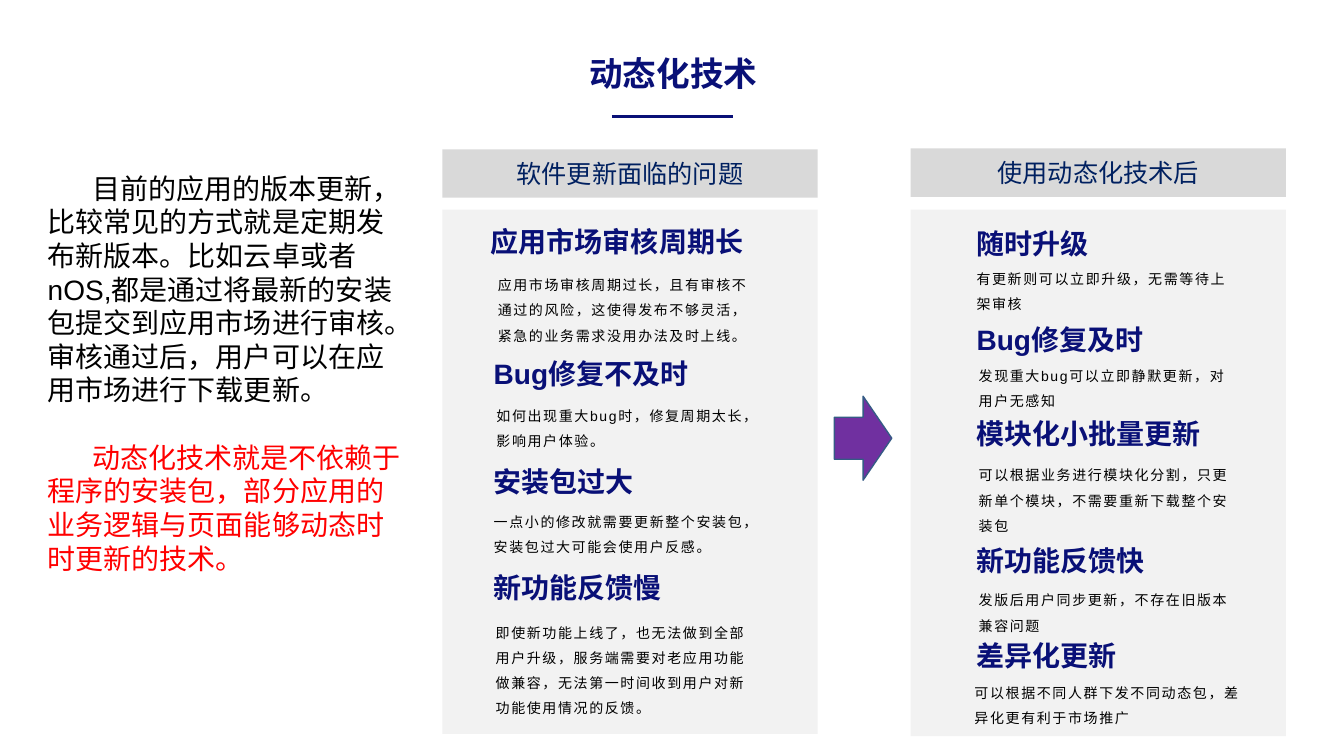
"""Build the slide on dynamic update technology: the problems before and the gains after."""
from lxml.etree import SubElement
from pptx import Presentation
from pptx.dml.color import RGBColor
from pptx.enum.shapes import MSO_CONNECTOR, MSO_SHAPE
from pptx.enum.text import MSO_ANCHOR, PP_ALIGN
from pptx.oxml.ns import qn
from pptx.util import Pt

NAVY = RGBColor(0x09, 0x10, 0x77)
HEADER_BLUE = RGBColor(0x00, 0x20, 0x60)
BLACK = RGBColor(0x00, 0x00, 0x00)
RED = RGBColor(0xFF, 0x00, 0x00)
HEADER_GREY = RGBColor(0xD9, 0xD9, 0xD9)
PANEL_GREY = RGBColor(0xF2, 0xF2, 0xF2)
PURPLE = RGBColor(0x70, 0x30, 0xA0)
ARROW_EDGE = RGBColor(0x35, 0x5B, 0x85)

TITLE = "动态化技术"
INTRO = [
    ("目前的应用的版本更新，比较常见的方式就是定期发布新版本。比如云卓或者nOS,都是通过将最新的安装包提交到应用市场进行审核。审核通过后，用户可以在应用市场进行下载更新。", BLACK),
    ("动态化技术就是不依赖于程序的安装包，部分应用的业务逻辑与页面能够动态时时更新的技术。", RED),
]
PANELS = [
    {"header": "软件更新面临的问题", "left": 316, "header_top": 106.6, "height": 374.4, "items": [
        ("应用市场审核周期长", (343.5, 157),
         "应用市场审核周期过长，且有审核不通过的风险，这使得发布不够灵活，紧急的业务需求没用办法及时上线。", (348.5, 188, 203)),
        ("Bug修复不及时", (345.6, 251.3),
         "如何出现重大bug时，修复周期太长，影响用户体验。", (347.5, 281.5, 203)),
        ("安装包过大", (345.6, 328.3),
         "一点小的修改就需要更新整个安装包，安装包过大可能会使用户反感。", (345.6, 357, 202)),
        ("新功能反馈慢", (345.6, 404),
         "即使新功能上线了，也无法做到全部用户升级，服务端需要对老应用功能做兼容，无法第一时间收到用户对新功能使用情况的反馈。", (347, 436.3, 202)),
    ]},
    {"header": "使用动态化技术后", "left": 650.5, "header_top": 106, "height": 376, "items": [
        ("随时升级", (690.5, 158.4),
         "有更新则可以立即升级，无需等待上架审核", (690.5, 183.6, 196.6)),
        ("Bug修复及时", (690.5, 226.8),
         "发现重大bug可以立即静默更新，对用户无感知", (692, 252.7, 196.6)),
        ("模块化小批量更新", (690.5, 293.8),
         "可以根据业务进行模块化分割，只更新单个模块，不需要重新下载整个安装包", (692, 324, 196.6)),
        ("新功能反馈快", (690.5, 384.5),
         "发版后用户同步更新，不存在旧版本兼容问题", (692, 413.3, 196.6)),
        ("差异化更新", (690.5, 452.9),
         "可以根据不同人群下发不同动态包，差异化更有利于市场推广", (689, 479.5, 204.5)),
    ]},
]
PANEL_WIDTH, PANEL_TOP, HEADER_HEIGHT = 268, 149.8, 34.6
HEADING_WIDTH, HEADING_HEIGHT = 216, 31.7
LETTER_SPACING = "120"


def add_block(slide, kind, left, top, width, height, fill):
    shape = slide.shapes.add_shape(kind, Pt(left), Pt(top), Pt(width), Pt(height))
    shape.shadow.inherit = False
    shape.fill.solid()
    shape.fill.fore_color.rgb = fill
    shape.line.fill.background()
    return shape


def add_text_frame(slide, left, top, width, height):
    frame = slide.shapes.add_textbox(Pt(left), Pt(top), Pt(width), Pt(height)).text_frame
    frame.word_wrap = True
    return frame


def write(paragraph, text, size, color, bold=False, name="Arial"):
    paragraph.text = text
    font = paragraph.font
    font.name, font.size, font.bold = name, Pt(size), bold
    font.color.rgb = color


def add_title(slide):
    paragraph = add_text_frame(slide, 314.6, 34.6, 332.6, 36).paragraphs[0]
    write(paragraph, TITLE, 24, NAVY, bold=True)
    paragraph.alignment = PP_ALIGN.CENTER
    rule = slide.shapes.add_connector(
        MSO_CONNECTOR.STRAIGHT, Pt(437), Pt(83.3), Pt(523.4), Pt(83.3))
    rule.line.color.rgb = NAVY
    rule.line.width = Pt(2.5)
    SubElement(rule._element.spPr, qn("a:effectLst"))


def add_intro(slide):
    frame = add_text_frame(slide, 27, 118.8, 268, 298)
    for index, (text, color) in enumerate(INTRO):
        paragraph = frame.add_paragraph() if index else frame.paragraphs[0]
        write(paragraph, text, 20, color)
        paragraph._p.get_or_add_pPr().set("indent", str(Pt(32)))
        if index:
            paragraph.space_before = Pt(24)


def add_panel(slide, panel):
    left = panel["left"]
    add_block(slide, MSO_SHAPE.RECTANGLE, left, PANEL_TOP, PANEL_WIDTH, panel["height"], PANEL_GREY)
    header = add_block(slide, MSO_SHAPE.RECTANGLE, left, panel["header_top"],
                       PANEL_WIDTH, HEADER_HEIGHT, HEADER_GREY)
    header.text_frame.vertical_anchor = MSO_ANCHOR.MIDDLE
    paragraph = header.text_frame.paragraphs[0]
    write(paragraph, panel["header"], 18, HEADER_BLUE, name="Calibri")
    paragraph.alignment = PP_ALIGN.CENTER
    for heading, heading_place, body, (body_left, body_top, body_width) in panel["items"]:
        frame = add_text_frame(slide, *heading_place, HEADING_WIDTH, HEADING_HEIGHT)
        write(frame.paragraphs[0], heading, 20, NAVY, bold=True)
        frame = add_text_frame(slide, body_left, body_top, body_width, 42)
        paragraph = frame.paragraphs[0]
        write(paragraph, body, 10, BLACK)
        paragraph.line_spacing = 1.5
        paragraph.runs[0]._r.get_or_add_rPr().set("spc", LETTER_SPACING)


def main():
    presentation = Presentation()
    presentation.slide_width, presentation.slide_height = Pt(960), Pt(540)
    slide = presentation.slides.add_slide(presentation.slide_layouts[6])
    add_title(slide)
    add_intro(slide)
    for panel in PANELS:
        add_panel(slide, panel)
    arrow = add_block(slide, MSO_SHAPE.RIGHT_ARROW, 596, 283, 41, 60, PURPLE)
    arrow.line.color.rgb = ARROW_EDGE
    arrow.line.width = Pt(1)
    presentation.save("out.pptx")


if __name__ == "__main__":
    main()
